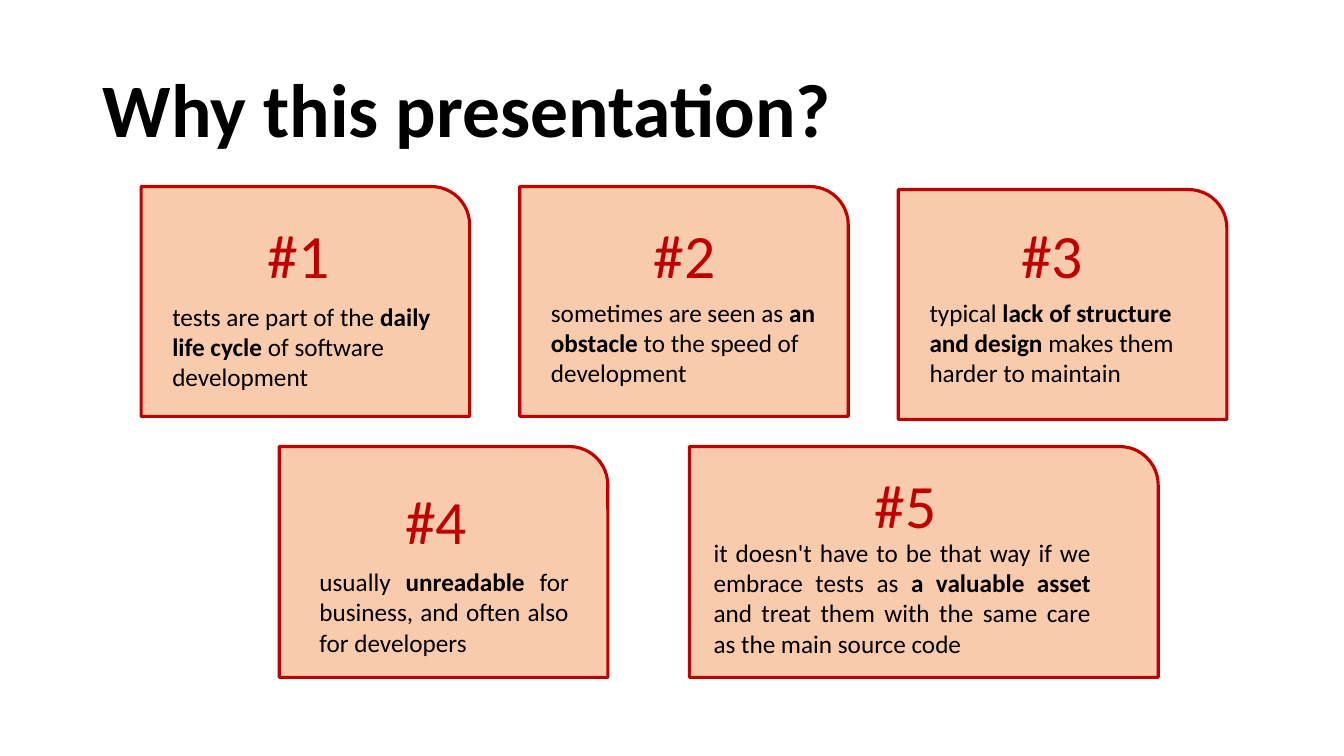
from dataclasses import dataclass

from pptx import Presentation
from pptx.dml.color import RGBColor
from pptx.enum.shapes import MSO_SHAPE
from pptx.enum.text import MSO_ANCHOR, MSO_AUTO_SIZE, PP_ALIGN
from pptx.util import Inches, Pt

ROUNDED_CORNER = MSO_SHAPE.ROUND_1_RECTANGLE
LEFT, JUSTIFY = PP_ALIGN.LEFT, PP_ALIGN.JUSTIFY
MIDDLE = MSO_ANCHOR.MIDDLE
GROW = MSO_AUTO_SIZE.SHAPE_TO_FIT_TEXT
TITLE_ONLY = 5
WIDTH, HEIGHT = Inches(13.33), Inches(7.5)


@dataclass(frozen=True)
class Theme:
    """Colours, font and type sizes of the slide."""
    font: str = "Calibri"
    ink: RGBColor = RGBColor(0, 0, 0)
    accent: RGBColor = RGBColor(0xC0, 0, 0)
    card: RGBColor = RGBColor(0xF8, 0xCB, 0xAD)
    title: int = 54
    number: int = 44
    body: int = 18
    border: float = 2.25


@dataclass(frozen=True)
class Reason:
    """One card, with places as percentages of the slide and insets from its left."""
    paragraphs: tuple
    left: float
    top: float
    number_inset: float
    number_top: float
    body_top: float
    width: float = 24.45
    height: float = 30.4
    body_inset: float = 1.58
    body_width: float = 21.38
    body_height: float = 13.47
    alignment: PP_ALIGN = LEFT


THEME = Theme()
FIRST_LEFT, CARD_STEP = 10.5, 28.17
UPPER_TOP, LOWER_TOP, LOWER_HEIGHT = 24.67, 59.07, 30.53
UPPER_NUMBER_TOP, UPPER_BODY_TOP = 28, 38.67
NUMBER_WIDTH, NUMBER_HEIGHT = 8.93, 11.2

REASONS = (
    Reason((("tests are part of the ", "daily life cycle", " of software"),
            ("development",)),
           FIRST_LEFT, UPPER_TOP, 8.7, UPPER_NUMBER_TOP, 39.2),
    Reason((("sometimes are seen as ", "an obstacle ",
             "to the speed of development"),),
           FIRST_LEFT + CARD_STEP, UPPER_TOP, 9.22, UPPER_NUMBER_TOP,
           UPPER_BODY_TOP),
    Reason((("typical ", "lack of structure and design",
             " makes them harder to maintain"),),
           FIRST_LEFT + 2 * CARD_STEP, 25.07, 8.4, UPPER_NUMBER_TOP,
           UPPER_BODY_TOP),
    Reason((("usually ", "unreadable ",
             "for business, and often also for developers"),),
           20.78, LOWER_TOP, 8.63, 63.2, 74.27, height=LOWER_HEIGHT,
           body_inset=2.25, body_width=20.03, alignment=JUSTIFY),
    Reason((("it doesn't have to be that way if we embrace tests as ",
             "a valuable asset",
             " and treat them with the same care as the main source code"),),
           51.3, LOWER_TOP, 13.05, 61.07, 70.4, width=34.88,
           height=LOWER_HEIGHT, body_inset=1.05, body_width=29.55,
           body_height=17.47, alignment=JUSTIFY),
)


def place(left, top, width, height):
    """Turn percentages of the slide into lengths."""
    return (round(WIDTH * left / 100), round(HEIGHT * top / 100),
            round(WIDTH * width / 100), round(HEIGHT * height / 100))


def format_run(run, size, color, bold=False):
    """Apply the theme font to one run."""
    run.font.name = THEME.font
    run.font.size = Pt(size)
    run.font.color.rgb = color
    run.font.bold = bold


def set_title(slide, text):
    """Move, fill and format the title placeholder."""
    title = slide.shapes.title
    title.left, title.top, title.width, title.height = place(6.9, 5.33, 86.27, 19.33)
    title.text_frame.text = text
    title.text_frame.vertical_anchor = MIDDLE
    paragraph = title.text_frame.paragraphs[0]
    paragraph.alignment = LEFT
    paragraph.line_spacing = 0.9
    format_run(paragraph.runs[0], THEME.title, THEME.ink, bold=True)


def add_card(slide, reason):
    """Draw the outlined card with one rounded corner."""
    card = slide.shapes.add_shape(
        ROUNDED_CORNER, *place(reason.left, reason.top, reason.width, reason.height))
    card.shadow.inherit = False
    card.fill.solid()
    card.fill.fore_color.rgb = THEME.card
    card.line.color.rgb = THEME.accent
    card.line.width = Pt(THEME.border)


def add_text(slide, box, paragraphs, size, color, alignment=LEFT):
    """Add a text box in which every second part of a paragraph is bold."""
    text_frame = slide.shapes.add_textbox(*place(*box)).text_frame
    text_frame.word_wrap = True
    text_frame.auto_size = GROW
    for index, parts in enumerate(paragraphs):
        paragraph = text_frame.add_paragraph() if index else text_frame.paragraphs[0]
        paragraph.alignment = alignment
        for position, part in enumerate(parts):
            run = paragraph.add_run()
            run.text = part
            format_run(run, size, color, bold=position % 2 == 1)


def add_reason(slide, number, reason):
    """Add a card with its number and its statement."""
    add_card(slide, reason)
    add_text(slide, (reason.left + reason.body_inset, reason.body_top,
                     reason.body_width, reason.body_height),
             reason.paragraphs, THEME.body, THEME.ink, reason.alignment)
    add_text(slide, (reason.left + reason.number_inset, reason.number_top,
                     NUMBER_WIDTH, NUMBER_HEIGHT),
             ((f"#{number}",),), THEME.number, THEME.accent)


def main():
    """Build and save the slide."""
    presentation = Presentation()
    presentation.slide_width, presentation.slide_height = WIDTH, HEIGHT
    slide = presentation.slides.add_slide(presentation.slide_layouts[TITLE_ONLY])
    set_title(slide, "Why this presentation?")
    for number, reason in enumerate(REASONS, start=1):
        add_reason(slide, number, reason)
    presentation.save("out.pptx")


if __name__ == "__main__":
    main()
